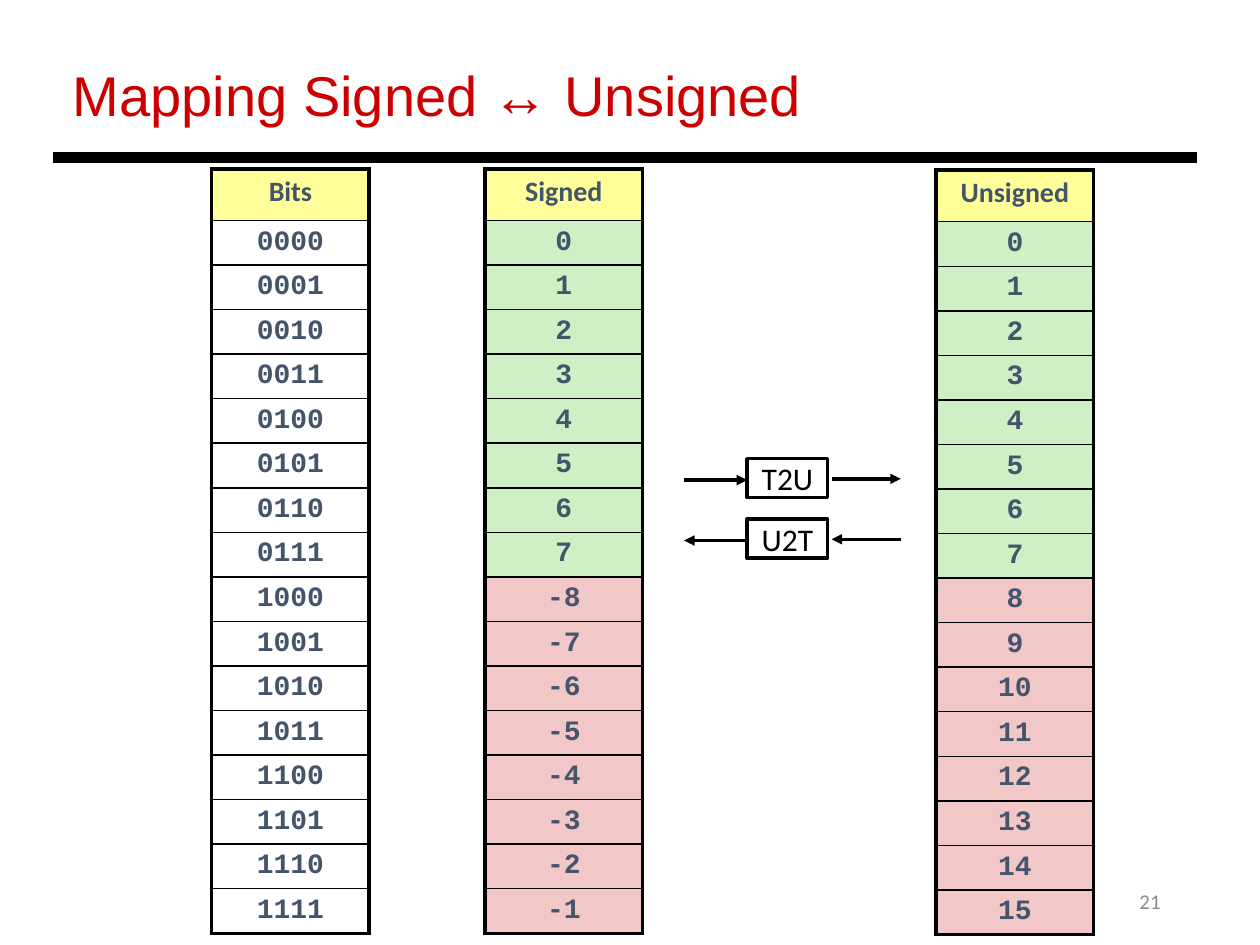
from lxml import etree
from pptx import Presentation
from pptx import util as u
from pptx.dml.color import RGBColor
from pptx.enum import shapes, text
from pptx.oxml import ns

BLACK = RGBColor(0x00, 0x00, 0x00)
WHITE = RGBColor(0xFF, 0xFF, 0xFF)
RED = RGBColor(0xCC, 0x00, 0x00)
GRAY = RGBColor(0x8C, 0x8C, 0x8C)
SLATE = RGBColor(0x44, 0x54, 0x6A)
YELLOW = RGBColor(0xFF, 0xFF, 0x99)
GREEN = RGBColor(0xCD, 0xF1, 0xC5)
PINK = RGBColor(0xF1, 0xC7, 0xC7)
HEADER_HEIGHT = 0.41


def write(frame, words, align, font, **frame_format):
    """Put one formatted line of text into a text frame."""
    for key, value in frame_format.items():
        setattr(frame, key, value)
    paragraph = frame.paragraphs[0]
    paragraph.alignment = align
    run = paragraph.add_run()
    run.text = words
    for key, value in font.items():
        if key == "color":
            run.font.color.rgb = value
        else:
            setattr(run.font, key, value)
    return paragraph


def add_label(slide, box, words, align, font, **frame_format):
    """Add a text box holding one line."""
    label = slide.shapes.add_textbox(*map(u.Inches, box))
    write(label.text_frame, words, align, font, **frame_format)


def add_line(parent, start, end, width, arrow_end=None):
    """Draw a straight black line, with an optional arrowhead at one end."""
    line = parent.shapes.add_connector(
        shapes.MSO_CONNECTOR.STRAIGHT, *map(u.Inches, (*start, *end)))
    line.line.color.rgb = BLACK
    line.line.width = u.Pt(width)
    if arrow_end:
        etree.SubElement(line.get_or_add_ln(), ns.qn(f"a:{arrow_end}"), type="triangle")
    etree.SubElement(line._element.spPr, ns.qn("a:effectLst"))


def set_borders(cell, widths):
    """Give a cell black borders with the width in points for each side."""
    properties = cell._tc.get_or_add_tcPr()
    for side in "LRTB":
        border = etree.SubElement(
            properties, ns.qn(f"a:ln{side}"), w=str(u.Pt(widths[side])))
        fill = etree.SubElement(border, ns.qn("a:solidFill"))
        etree.SubElement(fill, ns.qn("a:srgbClr"), val=str(BLACK))


def add_column(slide, box, heading, values, fills):
    """Build a one-column table of values under a heading."""
    table = slide.shapes.add_table(len(values) + 1, 1, *map(u.Inches, box)).table
    table.first_row = table.horz_banding = False
    row_height = (box[3] - HEADER_HEIGHT) / len(values)
    entries = list(zip([heading, *values], [YELLOW, *fills]))
    for index, (words, fill) in enumerate(entries):
        table.rows[index].height = u.Inches(row_height if index else HEADER_HEIGHT)
        cell = table.cell(index, 0)
        for side in ("left", "right", "top", "bottom"):
            setattr(cell, f"margin_{side}", u.Inches(0.05))
        set_borders(cell, {"L": 2.25, "R": 2.25,
                           "T": 1 if index else 2.25,
                           "B": 2.25 if index == len(values) else 1})
        if fill is None:
            cell.fill.background()
        else:
            cell.fill.solid()
            cell.fill.fore_color.rgb = fill
        font = {"name": "Courier New" if index else "Calibri",
                "size": u.Pt(16), "bold": True, "color": SLATE}
        paragraph = write(cell.text_frame, words, text.PP_ALIGN.CENTER, font)
        paragraph.line_spacing = 0.95


def add_conversion(slide, box, name, arrow_end):
    """Draw a conversion box with an arrow on either side."""
    left, top, width, height = box
    group = slide.shapes.add_group_shape()
    step = group.shapes.add_shape(shapes.MSO_SHAPE.RECTANGLE, *map(u.Inches, box))
    step.shadow.inherit = False
    step.fill.solid()
    step.fill.fore_color.rgb = WHITE
    step.line.color.rgb = BLACK
    step.line.width = u.Pt(2)
    write(step.text_frame, name, text.PP_ALIGN.CENTER,
          {"name": "Calibri", "size": u.Pt(18), "color": BLACK},
          word_wrap=False, vertical_anchor=text.MSO_ANCHOR.MIDDLE)
    signed_y, unsigned_y = top + 0.17, top + 0.16
    add_line(group, (left, signed_y), (left - 0.5, signed_y), 2, arrow_end)
    add_line(group, (left + 1.22, unsigned_y), (left + width + 0.03, unsigned_y), 2, arrow_end)


def build_mapping_slide(deck):
    """Lay out the signed and unsigned mapping slide."""
    slide = deck.slides.add_slide(deck.slide_layouts[6])
    add_label(slide, (7.06, 6.95, 2.25, 0.4), "21", text.PP_ALIGN.RIGHT,
              {"name": "Calibri", "size": u.Pt(12), "color": GRAY},
              word_wrap=True, vertical_anchor=text.MSO_ANCHOR.MIDDLE)
    add_label(slide, (0.48, 0.43, 6.03, 0.64), "Mapping Signed ↔ Unsigned",
              text.PP_ALIGN.LEFT, {"name": "Arial", "size": u.Pt(32), "color": RED},
              word_wrap=False, auto_size=text.MSO_AUTO_SIZE.SHAPE_TO_FIT_TEXT)
    add_line(slide, (0.42, 1.25), (9.5, 1.25), 6)

    codes = range(16)
    halves = [GREEN] * 8 + [PINK] * 8
    signed = [str(code if code < 8 else code - 16) for code in codes]
    add_column(slide, (3.85, 1.34, 1.25, 6.07), "Signed", signed, halves)
    add_column(slide, (7.43, 1.35, 1.25, 6.07), "Unsigned", [str(code) for code in codes], halves)
    add_column(slide, (1.68, 1.34, 1.25, 6.07), "Bits",
               [f"{code:04b}" for code in codes], [None] * 16)

    add_conversion(slide, (5.93, 4.12, 0.64, 0.31), "U2T", "tailEnd")
    add_conversion(slide, (5.93, 3.64, 0.64, 0.31), "T2U", "headEnd")


def main():
    """Create the deck and save it."""
    deck = Presentation()
    deck.slide_width, deck.slide_height = u.Inches(10), u.Inches(7.5)
    build_mapping_slide(deck)
    deck.save("out.pptx")


if __name__ == "__main__":
    main()
